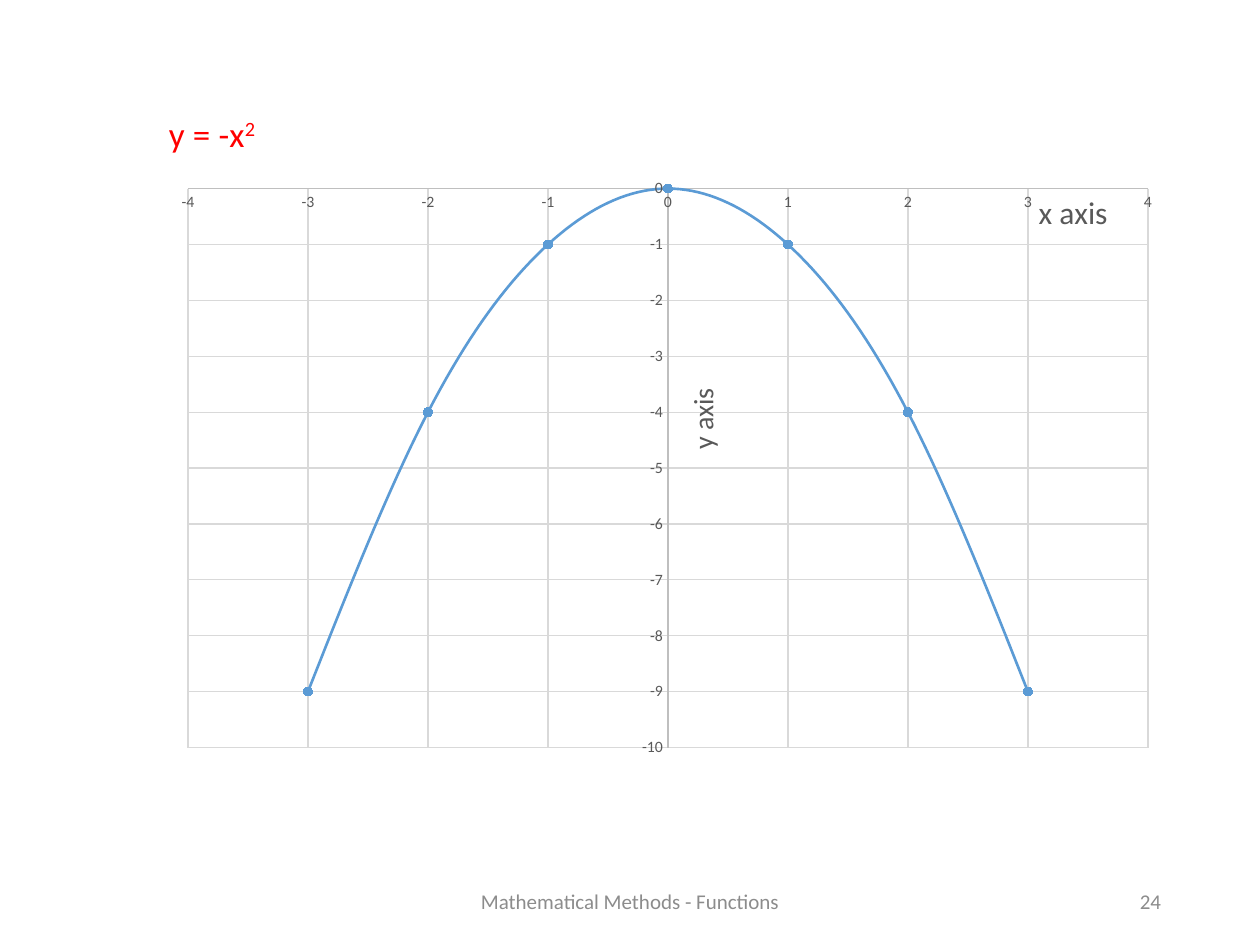
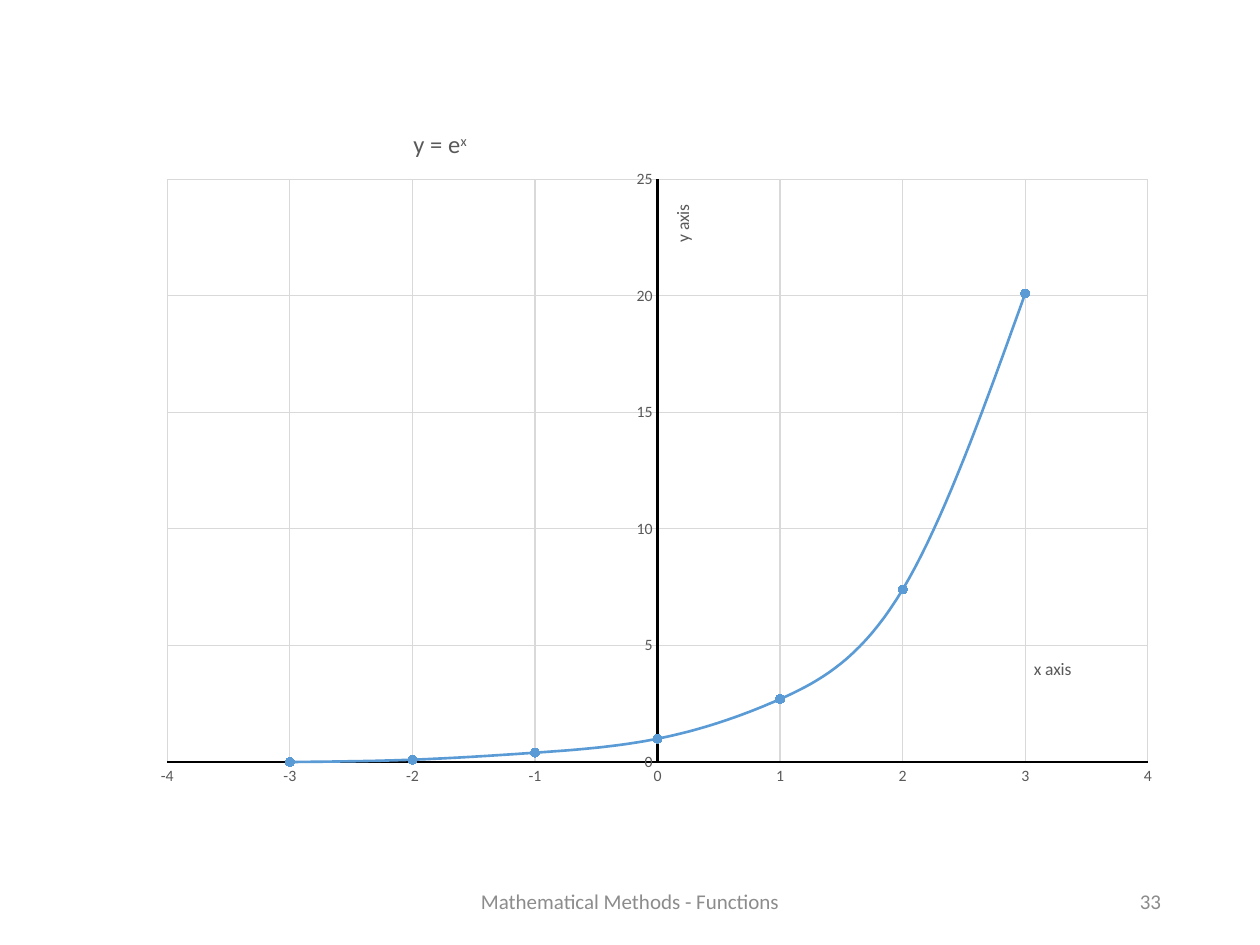
from lxml import etree
from pptx import Presentation
from pptx.chart.data import XyChartData
from pptx.dml.color import RGBColor
from pptx.enum.chart import XL_CHART_TYPE, XL_MARKER_STYLE, XL_TICK_MARK
from pptx.enum.text import MSO_ANCHOR, PP_ALIGN
from pptx.oxml.ns import qn
from pptx.util import Pt

SMOOTH = XL_CHART_TYPE.XY_SCATTER_SMOOTH
CIRCLE = XL_MARKER_STYLE.CIRCLE
NONE = XL_TICK_MARK.NONE
MIDDLE = MSO_ANCHOR.MIDDLE
CENTER, RIGHT = PP_ALIGN.CENTER, PP_ALIGN.RIGHT

FONT = "Calibri"
BLUE, RED, BLACK = "5B9BD5", "FF0000", "000000"
DARK, GRID, AXIS, FOOT = "595959", "D9D9D9", "BFBFBF", "8C8C8C"

FOOTER = "Mathematical Methods - Functions"
XS = range(-3, 4)

# Places ("at", "plot") inside a chart are fractions of its frame.
GRAPHS = [
    dict(
        page="24", frame=(49.7, 49.7, 620.6, 437),
        ys=[-9, -4, -1, 0, -1, -4, -9], low=-10, high=0, step=1,
        plot=(0.093, 0.133, 0.884, 0.731), line=AXIS, width=0.75,
        title=dict(words=("y = -x", "2"), at=(0.072, 0.026), size=20, color=RED),
        x=dict(at=(0.871, 0.128), size=18),
        y=dict(at=(0.545, 0.388), size=16),
    ),
    dict(
        page="33", frame=(49.7, 51.1, 620.6, 434.9),
        ys=[0, 0.1, 0.4, 1, 2.7, 7.4, 20.1], low=0, high=25, step=5,
        plot=(0.074, 0.118, 0.903, 0.766), line=BLACK, width=1.5,
        title=dict(words=("y = e", "x"), at=(0.297, 0.045), size=14, color=DARK),
        x=dict(at=(0.869, 0.743), size=10),
        y=dict(at=(0.535, 0.147), size=10),
    ),
]


def paint(color, value):
    color.rgb = RGBColor.from_string(value)


def style(font, size, color):
    font.name, font.size, font.bold = FONT, Pt(size), False
    paint(font.color, color)


def write(frame, *words, size=12, color=DARK, align=None):
    para = frame.paragraphs[0]
    para.alignment = align
    for word in words:
        run = para.add_run()
        run.text = word
        style(run.font, size, color)


def stroke(line, color, width):
    paint(line.color, color)
    line.width = Pt(width)


def place(item, index, inner=False, **spots):
    """Give a chart part a manual layout, as child number index."""
    for old in item.findall(qn("c:layout")):
        item.remove(old)
    layout = etree.Element(qn("c:layout"))
    manual = etree.SubElement(layout, qn("c:manualLayout"))
    modes = dict(xMode="edge", yMode="edge")
    if inner:
        modes = dict(layoutTarget="inner", **modes)
    for tag, val in {**modes, **spots}.items():
        etree.SubElement(manual, qn("c:" + tag)).set("val", str(val))
    item.insert(index, layout)


def label(title, *words, at, size, color=DARK):
    write(title.text_frame, *words, size=size, color=color)
    place(title.element, 1, x=at[0], y=at[1])


def scale(axis, name, low, high, step, graph):
    axis.minimum_scale, axis.maximum_scale, axis.major_unit = low, high, step
    axis.major_tick_mark = axis.minor_tick_mark = NONE
    axis.has_major_gridlines = True
    stroke(axis.major_gridlines.format.line, GRID, 0.75)
    stroke(axis.format.line, graph["line"], graph["width"])
    style(axis.tick_labels.font, 9, DARK)
    axis.has_title = True
    label(axis.axis_title, name + " axis", **graph[name])


def plot(slide, graph):
    data = XyChartData()
    points = data.add_series("Series 1")
    for x, y in zip(XS, graph["ys"]):
        points.add_data_point(x, y)
    box = map(Pt, graph["frame"])
    chart = slide.shapes.add_chart(SMOOTH, *box, data).chart
    style(chart.font, 10, BLACK)
    chart.has_legend = False
    chart.plots[0].vary_by_categories = False

    chart.has_title = True
    title = dict(graph["title"])
    label(chart.chart_title, *title.pop("words"), **title)
    chart.chart_title.element.xpath(".//a:r/a:rPr")[-1].set("baseline", "30000")

    scale(chart.category_axis, "x", -4, 4, 1, graph)
    scale(chart.value_axis, "y", graph["low"], graph["high"], graph["step"], graph)
    turn = chart.value_axis.axis_title.element.find(".//" + qn("a:bodyPr"))
    turn.set("rot", "-5400000")
    turn.set("vert", "horz")
    place(chart.element.find(".//" + qn("c:plotArea")), 0, inner=True,
          **dict(zip("xywh", graph["plot"])))

    curve = chart.plots[0].series[0]
    stroke(curve.format.line, BLUE, 1.5)
    for flag in chart.element.xpath(".//c:ser/c:smooth"):
        flag.set("val", "1")
    dot = curve.marker
    dot.style, dot.size = CIRCLE, 5
    dot.format.fill.solid()
    paint(dot.format.fill.fore_color, BLUE)
    stroke(dot.format.line, BLUE, 0.75)


def foot(slide, text, left, width, align):
    box = slide.shapes.add_textbox(Pt(left), Pt(500.5), Pt(width), Pt(28.75))
    frame = box.text_frame
    frame.word_wrap = True
    frame.vertical_anchor = MIDDLE
    write(frame, text, color=FOOT, align=align)


def main():
    deck = Presentation()
    deck.slide_width, deck.slide_height = Pt(720), Pt(540)
    for graph in GRAPHS:
        slide = deck.slides.add_slide(deck.slide_layouts[6])
        plot(slide, graph)
        foot(slide, FOOTER, 238.5, 243, CENTER)
        foot(slide, graph["page"], 508.5, 162, RIGHT)
    deck.save("out.pptx")


if __name__ == "__main__":
    main()
